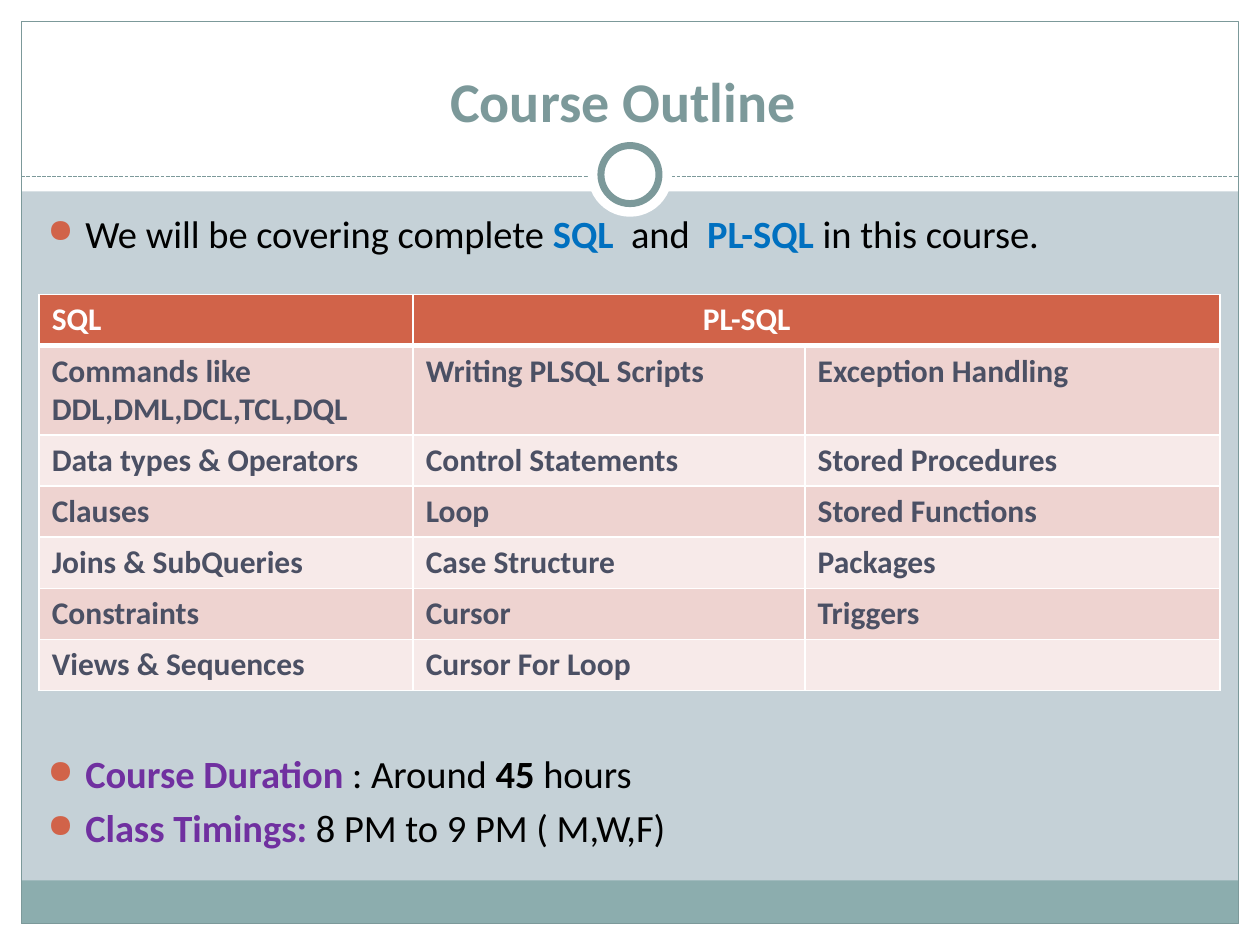
from lxml import etree
from pptx import Presentation
from pptx import util as u
from pptx.dml.color import RGBColor
from pptx.enum import dml, shapes, text
from pptx.oxml import ns

Cm, Pt = u.Cm, u.Pt

WHITE = RGBColor(0xFF, 0xFF, 0xFF)
BLACK = RGBColor(0x00, 0x00, 0x00)
BACKGROUND = RGBColor(0xC5, 0xD1, 0xD7)
FOOTER = RGBColor(0x8C, 0xAD, 0xAE)
TEAL = RGBColor(0x7C, 0x99, 0x9A)
ORANGE = RGBColor(0xD1, 0x63, 0x49)
BLUE = RGBColor(0x00, 0x70, 0xC0)
PURPLE = RGBColor(0x70, 0x30, 0xA0)
SLATE = RGBColor(0x4B, 0x50, 0x64)
ROW_FILLS = (RGBColor(0xEE, 0xD3, 0xD0), RGBColor(0xF7, 0xEA, 0xE9))

WIDTH, HEIGHT, MARGIN = 25.4, 19.05, 0.43
RULE_Y = 3.56
RING_Y = 3.52

TOPICS = (
    ("Commands like DDL,DML,DCL,TCL,DQL", "Writing PLSQL Scripts", "Exception Handling"),
    ("Data types & Operators", "Control Statements", "Stored Procedures"),
    ("Clauses", "Loop", "Stored Functions"),
    ("Joins & SubQueries", "Case Structure", "Packages"),
    ("Constraints", "Cursor", "Triggers"),
    ("Views & Sequences", "Cursor For Loop", ""),
)
COLUMN_WIDTHS = (7.54, 7.9, 8.36)
ROW_HEIGHTS = (1.03, 1.8) + (1.03,) * 5


def add_element(parent, tag, **attributes):
    return etree.SubElement(parent, ns.qn(tag), attributes)


def add_run(paragraph, words, size=22, color=BLACK, bold=False):
    run = paragraph.add_run()
    run.text = words
    run.font.name = "Calibri"
    run.font.size = Pt(size)
    run.font.bold = bold
    run.font.color.rgb = color


def add_panel(slide, kind, left, top, width, height, fill=None, line=None, weight=0.75):
    shape = slide.shapes.add_shape(kind, Cm(left), Cm(top), Cm(width), Cm(height))
    shape.shadow.inherit = False
    if fill is None:
        shape.fill.background()
    else:
        shape.fill.solid()
        shape.fill.fore_color.rgb = fill
    if line is None:
        shape.line.fill.background()
    else:
        shape.line.color.rgb = line
        shape.line.width = Pt(weight)


def add_circle(slide, diameter, **style):
    add_panel(slide, shapes.MSO_SHAPE.OVAL, (WIDTH - diameter) / 2,
              RING_Y - diameter / 2, diameter, diameter, **style)


def add_text_frame(slide, left, top, width, height):
    frame = slide.shapes.add_textbox(Cm(left), Cm(top), Cm(width), Cm(height)).text_frame
    frame.word_wrap = True
    return frame


def add_bullets(slide, top, height, lines):
    frame = add_text_frame(slide, 0.71, top, 24.2, height)
    for index, line in enumerate(lines):
        paragraph = frame.paragraphs[0] if index == 0 else frame.add_paragraph()
        properties = paragraph._p.get_or_add_pPr()
        properties.set("marL", str(Cm(0.76)))
        properties.set("indent", str(-Cm(0.76)))
        color = add_element(properties, "a:buClr")
        add_element(color, "a:srgbClr", val=str(ORANGE))
        add_element(properties, "a:buSzPct", val="85000")
        add_element(properties, "a:buChar", char="●")
        if index:
            paragraph.space_before = Pt(4.4)
        for words, style in line:
            add_run(paragraph, words, **style)


def set_border(cell, side, weight):
    line = add_element(cell._tc.get_or_add_tcPr(), "a:ln" + side, w=str(Pt(weight)))
    fill = add_element(line, "a:solidFill")
    add_element(fill, "a:srgbClr", val=str(WHITE))


def style_cell(cell, words, fill, color, borders):
    for side, weight in borders.items():
        set_border(cell, side, weight)
    cell.fill.solid()
    cell.fill.fore_color.rgb = fill
    if words:
        add_run(cell.text_frame.paragraphs[0], words, size=18, color=color, bold=True)


def add_topic_table(slide):
    rows = (("SQL", "PL-SQL", ""),) + TOPICS
    table = slide.shapes.add_table(
        len(rows), len(COLUMN_WIDTHS), Cm(0.79), Cm(5.94),
        Cm(sum(COLUMN_WIDTHS)), Cm(sum(ROW_HEIGHTS))).table
    table.first_row = table.horz_banding = False
    for column, width in zip(table.columns, COLUMN_WIDTHS):
        column.width = Cm(width)
    for row, height in zip(table.rows, ROW_HEIGHTS):
        row.height = Cm(height)
    for r, row in enumerate(rows):
        header = r == 0
        fill = ORANGE if header else ROW_FILLS[(r - 1) % 2]
        borders = {"L": 1, "R": 1, "T": 3 if r == 1 else 1, "B": 3 if header else 1}
        for c, words in enumerate(row):
            style_cell(table.cell(r, c), words, fill, WHITE if header else SLATE, borders)
    # The second heading spans both PL-SQL columns
    table.cell(0, 1).merge(table.cell(0, 2))
    table.cell(0, 1).margin_left = Cm(5.84)


def add_frame(slide):
    rectangle = shapes.MSO_SHAPE.RECTANGLE
    inner_width = WIDTH - 2 * MARGIN
    # White margins and title band
    for box in ((0, HEIGHT - MARGIN, WIDTH, MARGIN), (0, 0, WIDTH, 3.86),
                (0, 0, MARGIN, HEIGHT), (WIDTH - MARGIN, 0, MARGIN, HEIGHT)):
        add_panel(slide, rectangle, *box, fill=WHITE)
    # Footer band and outline
    add_panel(slide, rectangle, MARGIN, 17.75, inner_width, 0.87, fill=FOOTER)
    add_panel(slide, rectangle, MARGIN, MARGIN, inner_width, HEIGHT - 2 * MARGIN, line=TEAL)
    # Dashed rule with the ring on it
    rule = slide.shapes.add_connector(shapes.MSO_CONNECTOR.STRAIGHT, Cm(MARGIN), Cm(RULE_Y),
                                      Cm(WIDTH - MARGIN), Cm(RULE_Y))
    rule.line.color.rgb = TEAL
    rule.line.width = Pt(0.75)
    rule.line.dash_style = dml.MSO_LINE.SQUARE_DOT
    add_element(rule._element.spPr, "a:effectLst")
    add_circle(slide, 1.7, fill=WHITE)
    add_circle(slide, 1.17, fill=WHITE, line=TEAL, weight=4)


def add_title(slide):
    frame = add_text_frame(slide, 0.84, 0.64, 23.7, 2.1)
    frame.vertical_anchor = text.MSO_ANCHOR.BOTTOM
    frame.margin_bottom = Cm(0.05)
    paragraph = frame.paragraphs[0]
    paragraph.alignment = text.PP_ALIGN.CENTER
    add_run(paragraph, "Course Outline ", size=32, color=TEAL, bold=True)


def main():
    presentation = Presentation()
    presentation.slide_width, presentation.slide_height = Cm(WIDTH), Cm(HEIGHT)
    slide = presentation.slides.add_slide(presentation.slide_layouts[6])
    slide.background.fill.solid()
    slide.background.fill.fore_color.rgb = BACKGROUND

    add_frame(slide)
    add_title(slide)

    # Bullets above and below the table
    plain = {}
    subject = {"color": BLUE, "bold": True}
    label = {"color": PURPLE, "bold": True}
    add_bullets(slide, 4.11, 1.2, [
        [("We will be covering complete ", plain), ("SQL", subject), ("  and  ", plain),
         ("PL-SQL", subject), (" in this course.", plain)]])
    add_topic_table(slide)
    add_bullets(slide, 15, 2.4, [
        [("Course Duration ", label), (": Around ", plain), ("45", {"bold": True}),
         (" hours", plain)],
        [("Class Timings: ", label), ("8 PM to 9 PM ( M,W,F)", plain)]])

    presentation.save("out.pptx")


if __name__ == "__main__":
    main()
